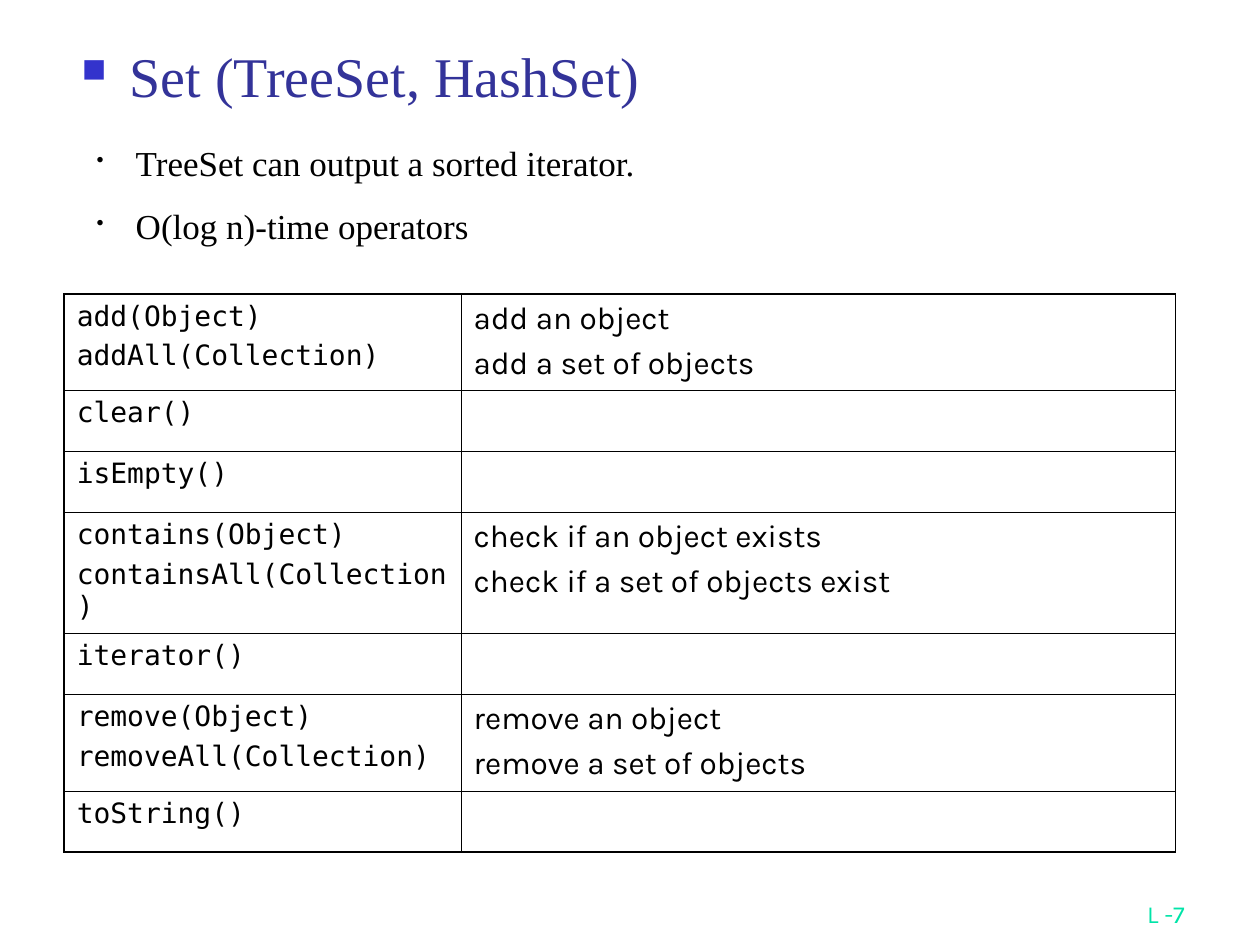
from dataclasses import dataclass

import lxml.etree
import pptx
import pptx.dml.color
import pptx.enum.text
import pptx.oxml
import pptx.oxml.ns
import pptx.util

Pt = pptx.util.Pt
ANCHOR = pptx.enum.text.MSO_ANCHOR
ALIGN = pptx.enum.text.PP_ALIGN

BLACK = "000000"
SERIF = "Times New Roman"
OUTER_LINE, INNER_LINE = 1.08, 0.45


@dataclass(frozen=True)
class TextStyle:
    font: str
    size: float
    color: str = BLACK
    space_between: float = 0
    line_spacing: float = 1.0
    align: ALIGN = ALIGN.LEFT


@dataclass(frozen=True)
class Bullet:
    character: str
    color: str
    indent: float


@dataclass(frozen=True)
class MethodRow:
    height: float
    methods: tuple[str, ...]
    descriptions: tuple[str, ...] = ()


TITLE = TextStyle(SERIF, 32, "333399", line_spacing=0.8)
BODY = TextStyle(SERIF, 20, line_spacing=1.5)
PAGE_NUMBER = TextStyle("Karla", 14, "00E4A8", align=ALIGN.RIGHT)
CODE = TextStyle("DejaVu Sans Mono", 16, space_between=4)
DESCRIPTION = TextStyle("Karla", 18, space_between=4.5)

COLUMN_WIDTHS = (226.8, 408.2)
ROWS = (
    MethodRow(55, ("add(Object)", "addAll(Collection)"),
              ("add an object", "add a set of objects")),
    MethodRow(35, ("clear()",)),
    MethodRow(35, ("isEmpty()",)),
    MethodRow(69, ("contains(Object)", "containsAll(Collection)"),
              ("check if an object exists", "check if a set of objects exist")),
    MethodRow(35, ("iterator()",)),
    MethodRow(55, ("remove(Object)", "removeAll(Collection)"),
              ("remove an object", "remove a set of objects")),
    MethodRow(35, ("toString()",)),
)


def rgb(color: str) -> pptx.dml.color.RGBColor:
    return pptx.dml.color.RGBColor.from_string(color)


def add_bullet(paragraph, bullet: Bullet) -> None:
    properties = paragraph._p.get_or_add_pPr()
    properties.set("marL", str(Pt(bullet.indent)))
    properties.set("indent", str(-Pt(bullet.indent)))
    namespace = pptx.oxml.ns.nsdecls("a")
    for element in (
        f'<a:buClr {namespace}><a:srgbClr val="{bullet.color}"/></a:buClr>',
        f'<a:buSzPct {namespace} val="60000"/>',
        f'<a:buChar {namespace} char="{bullet.character}"/>',
    ):
        properties.append(pptx.oxml.parse_xml(element))


def write_lines(text_frame, lines: tuple[str, ...], style: TextStyle,
                bullet: Bullet | None = None) -> None:
    for index, line in enumerate(lines):
        paragraph = text_frame.add_paragraph() if index else text_frame.paragraphs[0]
        paragraph.text = line
        if bullet:
            add_bullet(paragraph, bullet)
        paragraph.alignment = style.align
        paragraph.line_spacing = style.line_spacing
        if index and style.space_between:
            paragraph.space_before = Pt(style.space_between)
        paragraph.font.name = style.font
        paragraph.font.size = Pt(style.size)
        paragraph.font.color.rgb = rgb(style.color)


def add_text(slide, left: float, top: float, width: float, height: float,
             lines: tuple[str, ...], style: TextStyle,
             bullet: Bullet | None = None, anchor: ANCHOR = ANCHOR.TOP) -> None:
    box = slide.shapes.add_textbox(Pt(left), Pt(top), Pt(width), Pt(height))
    box.text_frame.word_wrap = True
    box.text_frame.vertical_anchor = anchor
    write_lines(box.text_frame, lines, style, bullet)


def set_borders(cell, widths: dict[str, float]) -> None:
    """Draw solid black borders; widths run in the order lnL, lnR, lnT, lnB."""
    properties = cell._tc.get_or_add_tcPr()
    for position, (side, width) in enumerate(widths.items()):
        properties.insert(position, pptx.oxml.parse_xml(
            f'<a:{side} {pptx.oxml.ns.nsdecls("a")} w="{Pt(width)}">'
            f'<a:solidFill><a:srgbClr val="{BLACK}"/></a:solidFill></a:{side}>'))


def add_method_table(slide, left: float, top: float) -> None:
    table = slide.shapes.add_table(
        len(ROWS), len(COLUMN_WIDTHS), Pt(left), Pt(top),
        Pt(sum(COLUMN_WIDTHS)), Pt(sum(row.height for row in ROWS))).table
    table.first_row = table.horz_banding = False
    for column, width in zip(table.columns, COLUMN_WIDTHS):
        column.width = Pt(width)
    last_row, last_column = len(ROWS) - 1, len(COLUMN_WIDTHS) - 1

    for row_index, row in enumerate(ROWS):
        table.rows[row_index].height = Pt(row.height)
        contents = ((row.methods, CODE), (row.descriptions, DESCRIPTION))
        for column_index, (lines, style) in enumerate(contents):
            cell = table.cell(row_index, column_index)
            cell.fill.background()
            on_edge = {
                "lnL": column_index == 0,
                "lnR": column_index == last_column,
                "lnT": row_index == 0,
                "lnB": row_index == last_row,
            }
            set_borders(cell, {side: OUTER_LINE if edge else INNER_LINE
                               for side, edge in on_edge.items()})
            write_lines(cell.text_frame, lines, style)


def main() -> None:
    presentation = pptx.Presentation()
    presentation.slide_width, presentation.slide_height = Pt(720), Pt(540)
    slide = presentation.slides.add_slide(presentation.slide_layouts[6])

    add_text(slide, 39.6, 24.5, 612.7, 41, ("Set (TreeSet, HashSet)",), TITLE,
             Bullet("■", "3333CC", 27.4), ANCHOR.BOTTOM)
    add_text(slide, 534.2, 498.2, 149.8, 36, ("L -7",), PAGE_NUMBER,
             anchor=ANCHOR.BOTTOM)
    add_method_table(slide, 36.7, 168)
    add_text(slide, 48.2, 65.5, 360, 79.2,
             ("TreeSet can output a sorted iterator.", "O(log n)-time operators"),
             BODY, Bullet("•", BLACK, 22.3))

    presentation.save("out.pptx")


if __name__ == "__main__":
    main()
